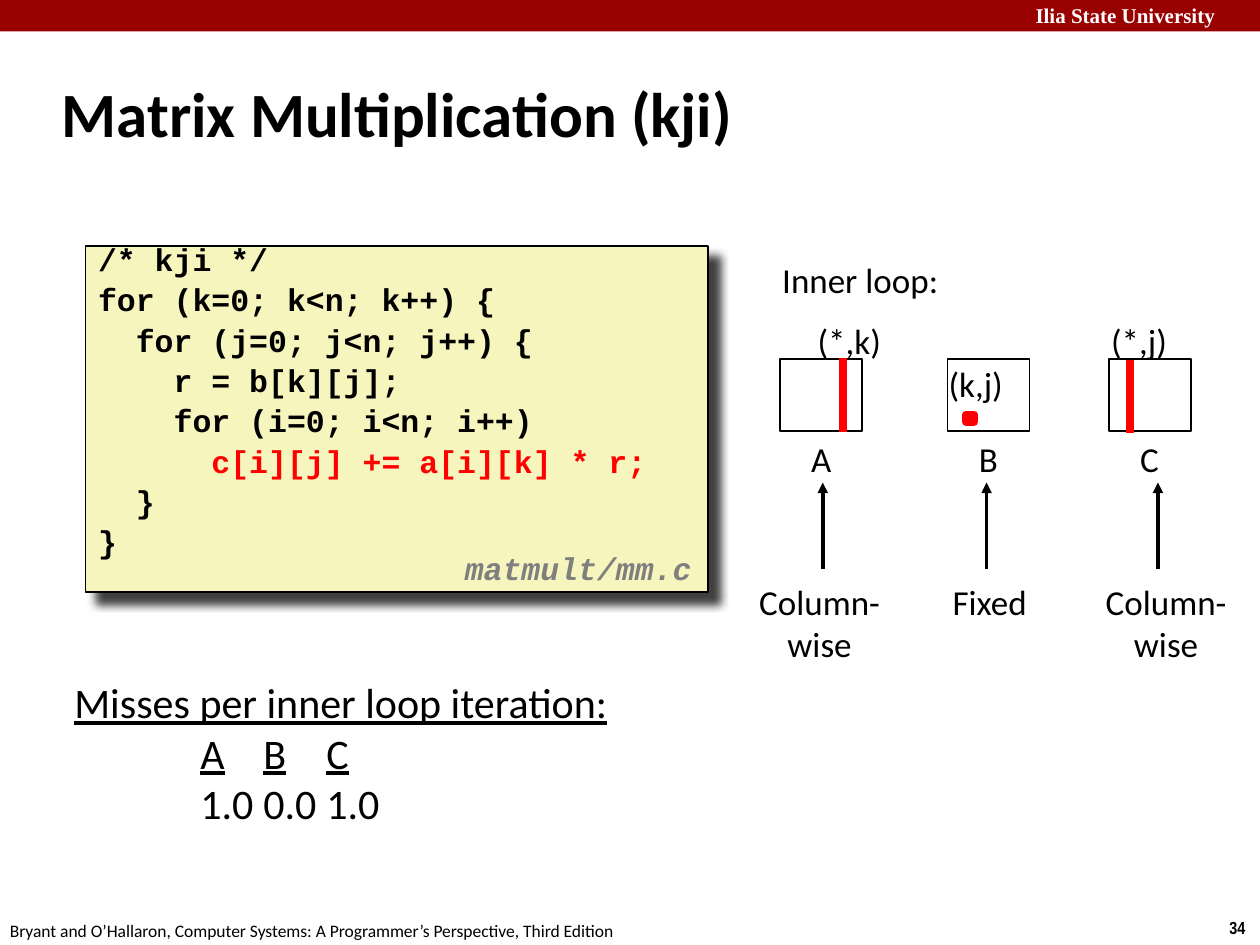
import dataclasses
import pptx
import pptx.dml.color
import pptx.enum.shapes
import pptx.enum.text
import pptx.oxml
import pptx.oxml.ns
import pptx.util
from lxml import etree

Inches = pptx.util.Inches
Pt = pptx.util.Pt
Align = pptx.enum.text.PP_ALIGN
Anchor = pptx.enum.text.MSO_ANCHOR
Fit = pptx.enum.text.MSO_AUTO_SIZE
qn = pptx.oxml.ns.qn


@dataclasses.dataclass(frozen=True)
class Theme:
    black: str = "000000"
    white: str = "FFFFFF"
    red: str = "FF0000"
    bar: str = "990000"
    cream: str = "F6F5BD"
    gray: str = "7F7F7F"
    sans: str = "Calibri"
    mono: str = "Courier New"
    serif: str = "Times New Roman"
    narrow: str = "Arial Narrow"
    title: int = 36
    body: int = 24
    label: int = 20
    code: int = 18
    head: int = 12
    foot: int = 10


THEME = Theme()

CODE = """/* kji */
for (k=0; k<n; k++) {
  for (j=0; j<n; j++) {
    r = b[k][j];
    for (i=0; i<n; i++)
      c[i][j] += a[i][k] * r;
  }
}\t"""


def rgb(color):
    return pptx.dml.color.RGBColor.from_string(color)


def place(shape, left, top, width, height):
    shape.left, shape.top = Inches(left), Inches(top)
    shape.width, shape.height = Inches(width), Inches(height)


def style(frame, size, face=THEME.sans, color=THEME.black, bold=False,
          slant=False, align=Align.LEFT):
    for para in frame.paragraphs:
        para.alignment = align
        for run in para.runs:
            font = run.font
            font.size, font.name = Pt(size), face
            font.bold, font.italic = bold, slant
            font.color.rgb = rgb(color)


def add_text(slide, text, box, size, **looks):
    frame = slide.shapes.add_textbox(*map(Inches, box)).text_frame
    frame.word_wrap = True
    if looks.get("align") != Align.CENTER:
        frame.margin_right = 0
    frame.text = text
    style(frame, size, **looks)
    return frame


def add_box(slide, box, fill, line=None, width=1):
    kind = pptx.enum.shapes.MSO_SHAPE.RECTANGLE
    shape = slide.shapes.add_shape(kind, *map(Inches, box))
    shape.shadow.inherit = False
    shape.fill.solid()
    shape.fill.fore_color.rgb = rgb(fill)
    if line:
        shape.line.color.rgb = rgb(line)
        shape.line.width = Pt(width)
    else:
        shape.line.fill.background()
    return shape


def add_line(slide, x, start, end, color, width, arrow=False):
    kind = pptx.enum.shapes.MSO_CONNECTOR.STRAIGHT
    ends = map(Inches, (x, start, x, end))
    line = slide.shapes.add_connector(kind, *ends)
    line.line.color.rgb = rgb(color)
    line.line.width = Pt(width)
    props = line._element.spPr
    if arrow:
        etree.SubElement(props.find(qn("a:ln")), qn("a:tailEnd"), type="triangle")
    etree.SubElement(props, qn("a:effectLst"))


def add_shade(shape):
    effects = shape._element.spPr.find(qn("a:effectLst"))
    shade = etree.SubElement(effects, qn("a:outerShdw"), blurRad=str(Pt(5)),
                             dist=str(Pt(8.5)), dir="2700000", algn="tl",
                             rotWithShape="0")
    color = etree.SubElement(shade, qn("a:srgbClr"), val=THEME.black)
    etree.SubElement(color, qn("a:alpha"), val="75000")


def add_frame(slide):
    add_box(slide, (0, 0, 10, 0.25), THEME.bar)
    add_text(slide, "Ilia State University", (8.12, -0.03, 1.95, 0.5),
             THEME.head, face=THEME.serif, color=THEME.white, bold=True)
    add_text(slide, "34", (9.66, 7.23, 0.34, 0.27), THEME.foot,
             face=THEME.narrow, bold=True)
    add_text(slide, "Bryant and O’Hallaron, Computer Systems: "
             "A Programmer’s Perspective, Third Edition",
             (-0.02, 7.25, 5.08, 0.27), THEME.foot)


def set_title(shape, text):
    place(shape, 0.39, 0.48, 8.3, 0.83)
    frame = shape.text_frame
    frame.text = text
    frame.vertical_anchor = Anchor.MIDDLE
    frame.auto_size = Fit.NONE
    style(frame, THEME.title, bold=True)


def add_code(slide):
    shape = add_box(slide, (0.68, 1.95, 4.94, 2.75), THEME.cream, THEME.black)
    add_shade(shape)
    frame = shape.text_frame
    frame.vertical_anchor = Anchor.TOP
    frame.text = CODE
    style(frame, THEME.code, face=THEME.mono, bold=True)
    for row, para in enumerate(frame.paragraphs):
        para.line_spacing = 0.65
        para.space_before = Pt(9 if row else 0)
        if "+=" in para.text:
            para.runs[0].font.color.rgb = rgb(THEME.red)
    name = add_text(slide, "matmult/mm.c", (3.59, 4.33, 2.08, 0.39), THEME.code,
                    face=THEME.mono, color=THEME.gray, bold=True, slant=True)
    name.paragraphs[0].line_spacing = 0.94


def add_grid(slide, name, left, tag, tag_box, stem, note, note_box):
    add_box(slide, (left, 2.85, 0.65, 0.57), THEME.white, THEME.black)
    add_text(slide, name, (left + 0.15, 3.42, 0.37, 0.43), THEME.label)
    add_text(slide, tag, tag_box, THEME.label)
    add_line(slide, stem, 4.52, 3.83, THEME.black, 2, arrow=True)
    add_text(slide, note, note_box, THEME.label, align=Align.CENTER)


def add_loop(slide):
    add_text(slide, "Inner loop:", (6.11, 2, 1.45, 0.43), THEME.label)
    add_grid(slide, "A", 6.19, "(*,k)", (6.39, 2.49, 0.71, 0.43), 6.53,
             "Column-\nwise", (5.92, 4.56, 1.17, 0.77))
    add_grid(slide, "B", 7.52, "(k,j)", (7.43, 2.83, 0.63, 0.43), 7.83,
             "Fixed", (7.46, 4.56, 0.79, 0.43))
    add_grid(slide, "C", 8.8, "(*,j)", (8.72, 2.49, 0.65, 0.43), 9.19,
             "Column-\nwise", (8.67, 4.56, 1.17, 0.77))
    add_box(slide, (7.67, 3.29, 0.06, 0.06), THEME.black, THEME.red, 4.5)
    add_line(slide, 6.69, 3.43, 2.84, THEME.red, 4.5)
    add_line(slide, 8.97, 3.44, 2.86, THEME.red, 4.5)


def set_stops(para):
    props = para._p.get_or_add_pPr()
    props.set("marL", "0")
    props.set("indent", "0")
    etree.SubElement(props, qn("a:buNone"))
    stops = etree.SubElement(props, qn("a:tabLst"))
    for step in range(4):
        etree.SubElement(stops, qn("a:tab"), pos=str(Inches(0.61 + step)), algn="l")


def set_misses(shape):
    place(shape, 0.49, 5.32, 5.43, 1.34)
    frame = shape.text_frame
    frame.auto_size = Fit.NONE
    frame.vertical_anchor = Anchor.TOP
    rows = (["Misses per inner loop iteration:"],
            ["\t\t", "A", "\t", "B", "\t", "C"],
            ["\t\t1.0\t0.0\t1.0"])
    for row, parts in enumerate(rows):
        para = frame.add_paragraph() if row else frame.paragraphs[0]
        para.level = min(row, 1)
        para.space_before = Pt(0)
        set_stops(para)
        for part in parts:
            run = para.add_run()
            run.text = part
            run.font.underline = "\t" not in part
    style(frame, THEME.body)


def main():
    deck = pptx.Presentation()
    deck.slide_width, deck.slide_height = Inches(10), Inches(7.5)
    slide = deck.slides.add_slide(deck.slide_layouts[1])
    add_frame(slide)
    set_title(slide.shapes.title, "Matrix Multiplication (kji)")
    add_code(slide)
    add_loop(slide)
    set_misses(slide.placeholders[1])
    deck.save("out.pptx")


if __name__ == "__main__":
    main()
